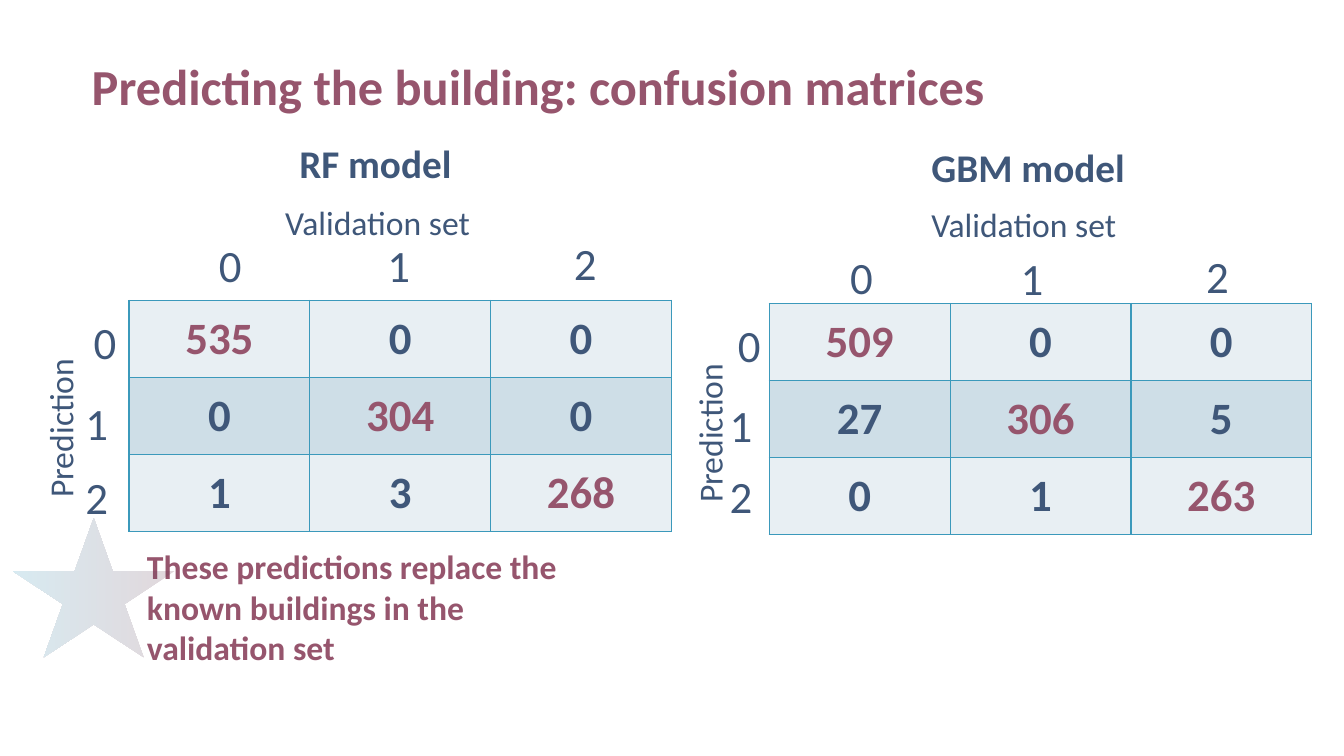
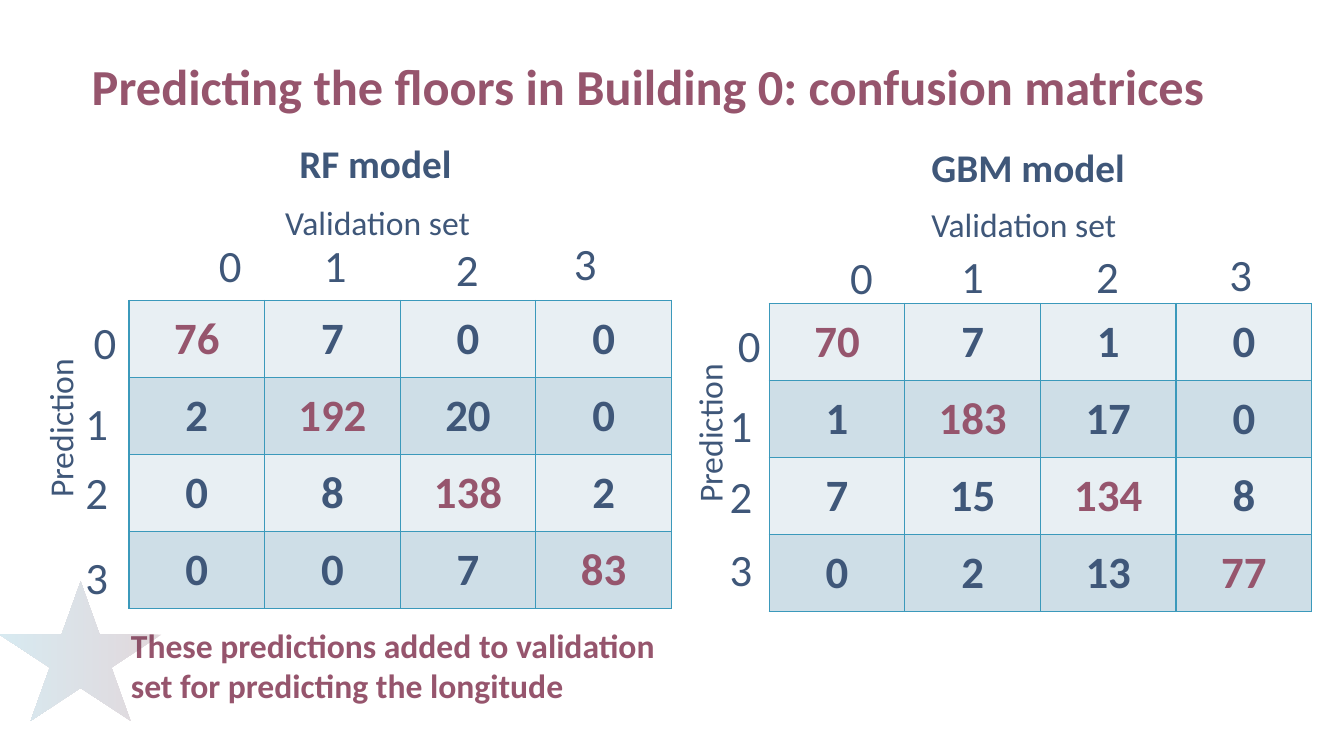
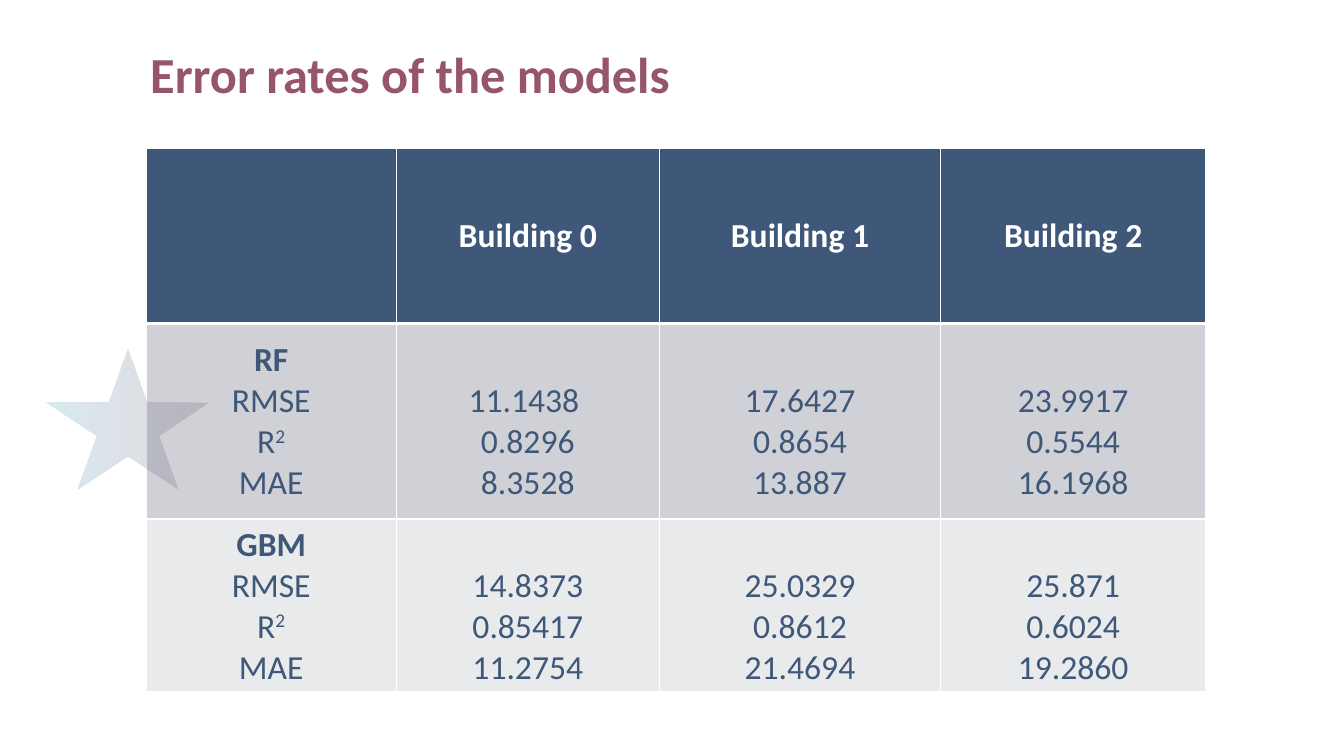
from lxml import etree
from pptx import Presentation
from pptx.dml.color import RGBColor
from pptx.enum.shapes import MSO_SHAPE
from pptx.enum.text import MSO_ANCHOR, MSO_AUTO_SIZE, PP_ALIGN
from pptx.oxml.ns import qn
from pptx.util import Inches, Pt

STAR = MSO_SHAPE.STAR_5_POINT
BOTTOM, MIDDLE = MSO_ANCHOR.BOTTOM, MSO_ANCHOR.MIDDLE
CENTER, LEFT = PP_ALIGN.CENTER, PP_ALIGN.LEFT
GROW = MSO_AUTO_SIZE.SHAPE_TO_FIT_TEXT

FONT = "Calibri"
PLUM, NAVY, TEAL, WHITE = "96556D", "3F5779", "3B99BB", "FFFFFF"
MATRIX_BANDS = ("E8EFF3", "CEDEE7")
ERROR_BANDS = ("CFD1D7", "E8EAEC")
STAR_COLORS = ("6D3B4F", TEAL)
LINE_24 = 0.41  # height of one 24 pt line, inches


def rgb(color):
    return RGBColor.from_string(color)


class Deck:
    """Holds the presentation, its style and the current slide."""

    def __init__(self):
        self.prs = Presentation()
        self.prs.slide_width, self.prs.slide_height = Inches(13.33), Inches(7.5)
        self.slide = None

    def new_slide(self, title, left=0.87, top=0.02, width=10.37, height=1.14):
        self.slide = self.prs.slides.add_slide(self.prs.slide_layouts[6])
        frame = self.text(title, left, top, width, height, 36, PLUM, True).text_frame
        frame.auto_size = MSO_AUTO_SIZE.NONE
        frame.vertical_anchor = BOTTOM
        frame.margin_left = Inches(0.04)
        frame.margin_top = frame.margin_right = frame.margin_bottom = 0
        frame.paragraphs[0].line_spacing = 0.9

    def style(self, paragraph, size, color, bold=False, align=CENTER):
        paragraph.alignment = align
        font = paragraph.font
        font.name, font.size, font.bold = FONT, Pt(size), bold
        font.color.rgb = rgb(color)

    def text(self, words, left, top, width, height, size=24, color=NAVY,
             bold=False, align=LEFT):
        box = self.slide.shapes.add_textbox(
            Inches(left), Inches(top), Inches(width), Inches(height))
        box.text_frame.word_wrap = True
        box.text_frame.auto_size = GROW
        box.text_frame.text = words
        self.style(box.text_frame.paragraphs[0], size, color, bold, align)
        return box

    def class_label(self, number, left, top, width=0.73):
        self.text(str(number), left, top, width, 0.64, 32, align=CENTER)

    def star(self, left, top):
        star = self.slide.shapes.add_shape(
            STAR, Inches(left), Inches(top), Inches(1.6), Inches(1.38))
        star.shadow.inherit = False
        star.line.fill.background()
        star.fill.gradient()
        star.fill.gradient_angle = 180
        for stop, color in zip(star.fill.gradient_stops, STAR_COLORS):
            stop.color.rgb = rgb(color)
        for color in star._element.spPr.iter(qn("a:srgbClr")):
            etree.SubElement(color, qn("a:alpha"), val="20000")

    def table(self, left, top, columns, rows):
        table = self.slide.shapes.add_table(
            len(rows), len(columns), Inches(left), Inches(top),
            Inches(sum(columns)), Inches(sum(rows))).table
        table.first_row = table.horz_banding = False
        for column, width in zip(table.columns, columns):
            column.width = Inches(width)
        for row, height in zip(table.rows, rows):
            row.height = Inches(height)
        return table

    def cell(self, cell, fill, border, top=1, bottom=1):
        properties = cell._tc.get_or_add_tcPr()
        for side, width in (("L", 1), ("R", 1), ("T", top), ("B", bottom)):
            line = etree.SubElement(properties, qn(f"a:ln{side}"), w=str(Pt(width)))
            solid = etree.SubElement(line, qn("a:solidFill"))
            etree.SubElement(solid, qn("a:srgbClr"), val=border)
        cell.fill.solid()
        cell.fill.fore_color.rgb = rgb(fill)
        cell.vertical_anchor = MIDDLE

    def matrix(self, model, values, left, top, heading, caption, prediction,
               column_labels, row_center, row_tops):
        """A confusion matrix with its heading, axis names and class labels."""
        count = len(values)
        table = self.table(left, top, [5.38 / count] * count, [0.764] * count)
        for r, row in enumerate(values):
            for c, value in enumerate(row):
                cell = table.cell(r, c)
                self.cell(cell, MATRIX_BANDS[r % 2], TEAL)
                cell.text = str(value)
                self.style(cell.text_frame.paragraphs[0], 32,
                           PLUM if r == c else NAVY, True)
        self.text(model, *heading, 2.57, 0.57, 28, bold=True)
        self.text("Validation set", *caption, 2.07, 0.5)
        self.text("Prediction", *prediction, 1.73, 0.5).rotation = 270
        for number, place in enumerate(column_labels):
            self.class_label(number, *place)
        for number, label_top in enumerate(row_tops):
            width = 0.73 if number else 0.26
            self.class_label(number, row_center - width / 2, label_top, width)

    def error_table(self, buildings, models):
        table = self.table(1.45, 1.47, [2.48, 2.61, 2.79, 2.63], [1.74, 1.94, 1.64])
        for c, building in enumerate([""] + buildings):
            cell = table.cell(0, c)
            self.cell(cell, NAVY, WHITE, bottom=3)
            if building:
                cell.text = building
                self.style(cell.text_frame.paragraphs[0], 24, WHITE, True)
        for r, (model, results) in enumerate(models.items(), 1):
            names = [model, "RMSE", "R", "MAE"]
            for c, lines in enumerate([names] + results):
                cell = table.cell(r, c)
                self.cell(cell, ERROR_BANDS[r - 1], WHITE, top=3 if r == 1 else 1)
                cell.text = "\n".join(lines)
                for paragraph in cell.text_frame.paragraphs:
                    self.style(paragraph, 24, NAVY, paragraph.text == model)
                if c:  # figures start level with the second line of names
                    cell.margin_top = Inches(0.05 + LINE_24)
                else:
                    square = cell.text_frame.paragraphs[2].add_run()
                    square.text = "2"
                    square._r.get_or_add_rPr().set("baseline", "30000")


# What the two sides have in common on both matrix slides
RF = dict(model="RF model", left=1.28, top=2.98, heading=(2.87, 1.33),
          caption=(2.73, 1.95), prediction=(-0.27, 3.92), row_center=0.96)
GBM = dict(model="GBM model", left=7.63, top=3.01, heading=(9.14, 1.37),
           caption=(9.14, 1.97), prediction=(6.17, 3.97), row_center=7.35)


def main():
    deck = Deck()

    # Building matrices
    deck.new_slide("Predicting the building: confusion matrices")
    deck.matrix(**RF, values=[(535, 0, 0), (0, 304, 0), (1, 3, 268)],
                column_labels=[(1.92, 2.31), (3.59, 2.31), (5.44, 2.29)],
                row_tops=[3.07, 3.88, 4.61])
    deck.matrix(**GBM, values=[(509, 0, 0), (27, 306, 5), (0, 1, 263)],
                column_labels=[(8.18, 2.43), (9.87, 2.44), (11.71, 2.42)],
                row_tops=[3.1, 3.9, 4.6])
    deck.text("These predictions replace the known buildings in the validation set",
              1.36, 5.37, 4.47, 1.31, color=PLUM, bold=True)
    deck.star(0.13, 5.14)

    # Floor matrices
    deck.new_slide("Predicting the floors in Building 0: confusion matrices", width=11.24)
    deck.matrix(**RF,
                values=[(76, 7, 0, 0), (2, 192, 20, 0), (0, 8, 138, 2), (0, 0, 7, 83)],
                column_labels=[(1.92, 2.31), (2.96, 2.31), (4.27, 2.35), (5.44, 2.29)],
                row_tops=[3.07, 3.88, 4.56, 5.4])
    deck.matrix(**GBM,
                values=[(70, 7, 1, 0), (1, 183, 17, 0), (7, 15, 134, 8), (0, 2, 13, 77)],
                column_labels=[(8.18, 2.43), (9.28, 2.42), (10.62, 2.42), (11.94, 2.4)],
                row_tops=[3.1, 3.9, 4.6, 5.33])
    deck.text("These predictions added to validation set for predicting the longitude",
              1.2, 6.15, 5.53, 0.91, color=PLUM, bold=True)
    deck.star(0, 5.77)

    # Error rates
    deck.new_slide("Error rates of the models", 1.45, 0.16, height=0.88)
    deck.error_table(["Building 0", "Building 1", "Building 2"], {
        "RF": [("11.1438 ", "0.8296", "8.3528"),
               ("17.6427", "0.8654", "13.887"),
               ("23.9917", "0.5544", "16.1968")],
        "GBM": [("14.8373", "0.85417", "11.2754"),
                ("25.0329", "0.8612", "21.4694"),
                ("25.871", "0.6024", "19.2860")],
    })
    deck.star(0.47, 3.47)

    deck.prs.save("out.pptx")


if __name__ == "__main__":
    main()
